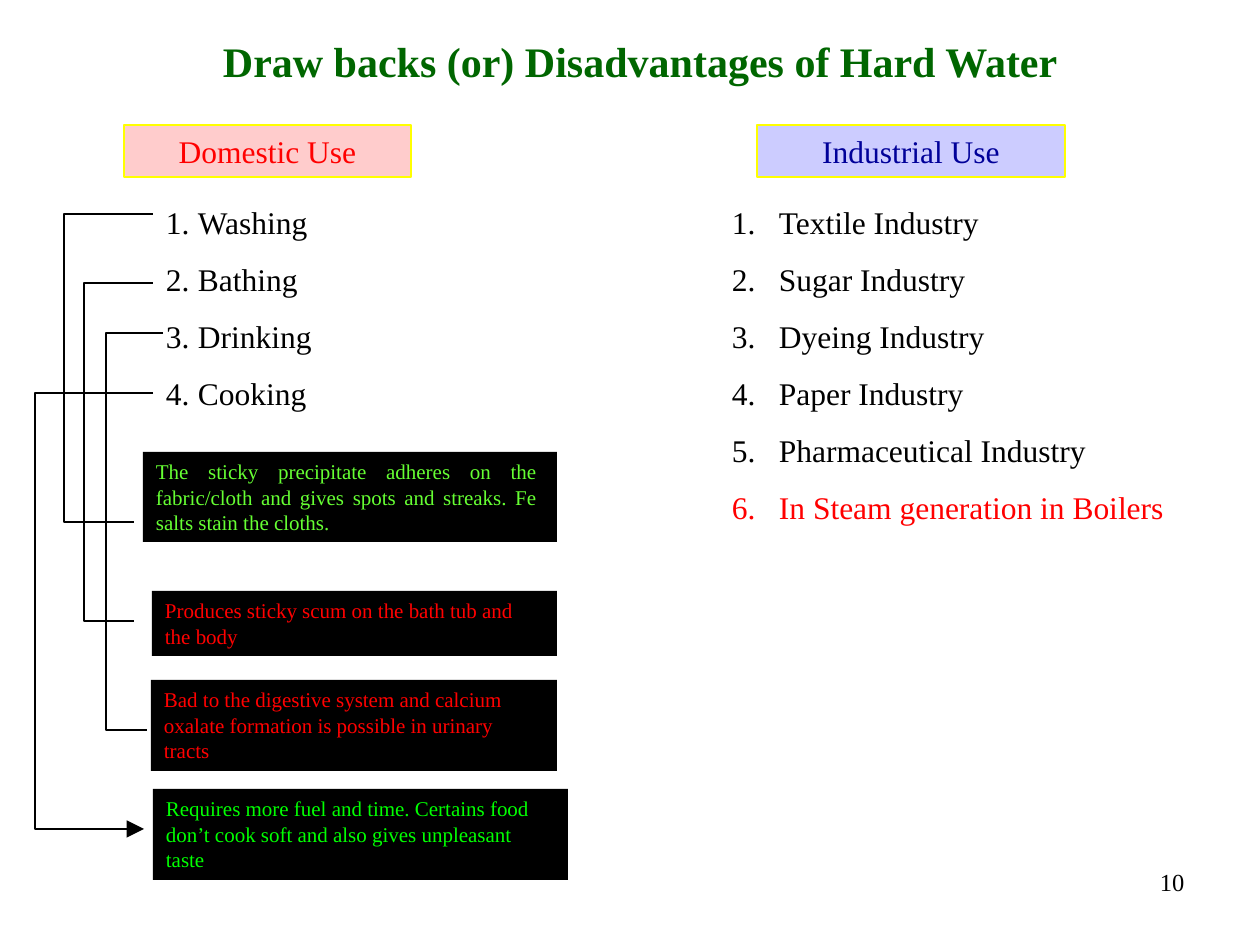
from lxml import etree
from pptx import Presentation
from pptx.dml.color import RGBColor
from pptx.enum.shapes import MSO_SHAPE
from pptx.enum.text import MSO_ANCHOR, PP_ALIGN
from pptx.oxml.ns import qn
from pptx.util import Pt

RECTANGLE = MSO_SHAPE.RECTANGLE
TOP = MSO_ANCHOR.TOP
LEFT, CENTER, JUSTIFY = PP_ALIGN.LEFT, PP_ALIGN.CENTER, PP_ALIGN.JUSTIFY

EMU_PER_PX = 914400 / 126
FONT = "Times New Roman"
BLACK, RED, YELLOW = "000000", "FF0000", "FFFF00"
LINE_WIDTH = 0.72


def px(length):
    return round(length * EMU_PER_PX)


def color(value):
    return RGBColor.from_string(value)


class SlideBuilder:
    """Holds the text style and the slide being built."""

    def __init__(self, slide, font=FONT):
        self.slide = slide
        self.font = font

    def style(self, paragraph, size, fill, bold=False, align=LEFT):
        paragraph.alignment = align
        font = paragraph.font
        font.name, font.size, font.bold = self.font, Pt(size), bold
        font.color.rgb = color(fill)

    def frame(self, shape, insets=(0, 0, 0, 0), wrap=True):
        """Set the insets, given as left, top, right, bottom."""
        frame = shape.text_frame
        frame.word_wrap = wrap
        frame.vertical_anchor = TOP
        (frame.margin_left, frame.margin_top,
         frame.margin_right, frame.margin_bottom) = map(px, insets)
        return frame

    def text(self, left, top, width, height, text, size, fill, bold=False):
        shape = self.slide.shapes.add_textbox(*map(px, (left, top, width, height)))
        paragraph = self.frame(shape, wrap=False).paragraphs[0]
        paragraph.text = text
        self.style(paragraph, size, fill, bold)

    def box(self, left, top, width, height, text, size, text_color, fill,
            line=None, align=LEFT, insets=(0, 0, 0, 0)):
        shape = self.slide.shapes.add_shape(
            RECTANGLE, *map(px, (left, top, width, height)))
        shape.shadow.inherit = False
        shape.fill.solid()
        shape.fill.fore_color.rgb = color(fill)
        if line:
            shape.line.color.rgb = color(line)
            shape.line.width = Pt(LINE_WIDTH)
        else:
            shape.line.fill.background()
        paragraph = self.frame(shape, insets).paragraphs[0]
        paragraph.text = text
        self.style(paragraph, size, text_color, align=align)

    def numbered_list(self, left, top, width, height, items, indent):
        """Add a numbered list of (text, color) items."""
        shape = self.slide.shapes.add_textbox(*map(px, (left, top, width, height)))
        frame = self.frame(shape)
        for index, (text, fill) in enumerate(items):
            paragraph = frame.add_paragraph() if index else frame.paragraphs[0]
            paragraph.text = text
            self.style(paragraph, 18, fill)
            if index:
                paragraph.space_before = Pt(11)
            properties = paragraph._p.get_or_add_pPr()
            properties.set("marL", str(px(indent)))
            properties.set("indent", str(-px(indent)))
            number = etree.Element(qn("a:buAutoNum"), type="arabicPeriod")
            properties.insert_element_before(number, "a:tabLst", "a:defRPr", "a:extLst")

    def bracket(self, start, spine, end, arrow=False):
        """Join two points by way of a vertical line at x = spine."""
        builder = self.slide.shapes.build_freeform(*start, scale=EMU_PER_PX)
        builder.add_line_segments(
            [(spine, start[1]), (spine, end[1]), end], close=False)
        shape = builder.convert_to_shape()
        shape.shadow.inherit = False
        shape.fill.background()
        shape.line.color.rgb = color(BLACK)
        shape.line.width = Pt(LINE_WIDTH)
        if arrow:
            etree.SubElement(shape.line._get_or_add_ln(), qn("a:tailEnd"),
                             type="triangle", w="lg", len="lg")


def main():
    presentation = Presentation()
    presentation.slide_width, presentation.slide_height = px(1260), px(945)
    builder = SlideBuilder(presentation.slides.add_slide(presentation.slide_layouts[6]))

    builder.text(223, 35, 842, 54, "Draw backs (or) Disadvantages of Hard Water",
                 24, "006600", bold=True)
    builder.text(1160, 867, 29, 33, "10", 14, BLACK)

    headings = [(124, 287, "Domestic Use", RED, "FFCCCC"),
                (757, 308, "Industrial Use", "000099", "CCCCFF")]
    for left, width, text, text_color, fill in headings:
        builder.box(left, 125, width, 52, text, 18, text_color, fill,
                    line=YELLOW, align=CENTER, insets=(0, 7, 0, 0))

    domestic = ["Washing", "Bathing", "Drinking", "Cooking"]
    builder.numbered_list(166, 203, 160, 210, [(use, BLACK) for use in domestic], 32)
    industrial = ["Textile", "Sugar", "Dyeing", "Paper", "Pharmaceutical"]
    builder.numbered_list(
        732, 203, 450, 320,
        [(f"{name} Industry", BLACK) for name in industrial]
        + [("In Steam generation in Boilers", RED)], 47)

    effects = [
        (143, 452, 414, 90, "66FF33", JUSTIFY, 20,
         "The sticky precipitate adheres on the fabric/cloth and gives spots "
         "and streaks. Fe salts stain the cloths."),
        (152, 591, 405, 65, RED, LEFT, 30,
         "Produces sticky scum on the bath tub and the body"),
        (151, 680, 406, 91, RED, LEFT, 30,
         "Bad to the digestive system and calcium oxalate formation is "
         "possible in urinary tracts"),
        (153, 789, 415, 91, "00FF00", LEFT, 30,
         "Requires more fuel and time. Certains food don’t cook soft and "
         "also gives unpleasant taste"),
    ]
    for left, top, width, height, text_color, align, right_inset, text in effects:
        builder.box(left, top, width, height, text, 12, text_color, BLACK,
                    align=align, insets=(13, 7, right_inset, 0))

    builder.bracket((153, 214), 64, (134, 522))
    builder.bracket((153, 283), 84, (134, 621))
    builder.bracket((163, 333), 106, (147, 730))
    builder.bracket((153, 393), 35, (144, 829), arrow=True)

    presentation.save("out.pptx")


if __name__ == "__main__":
    main()
